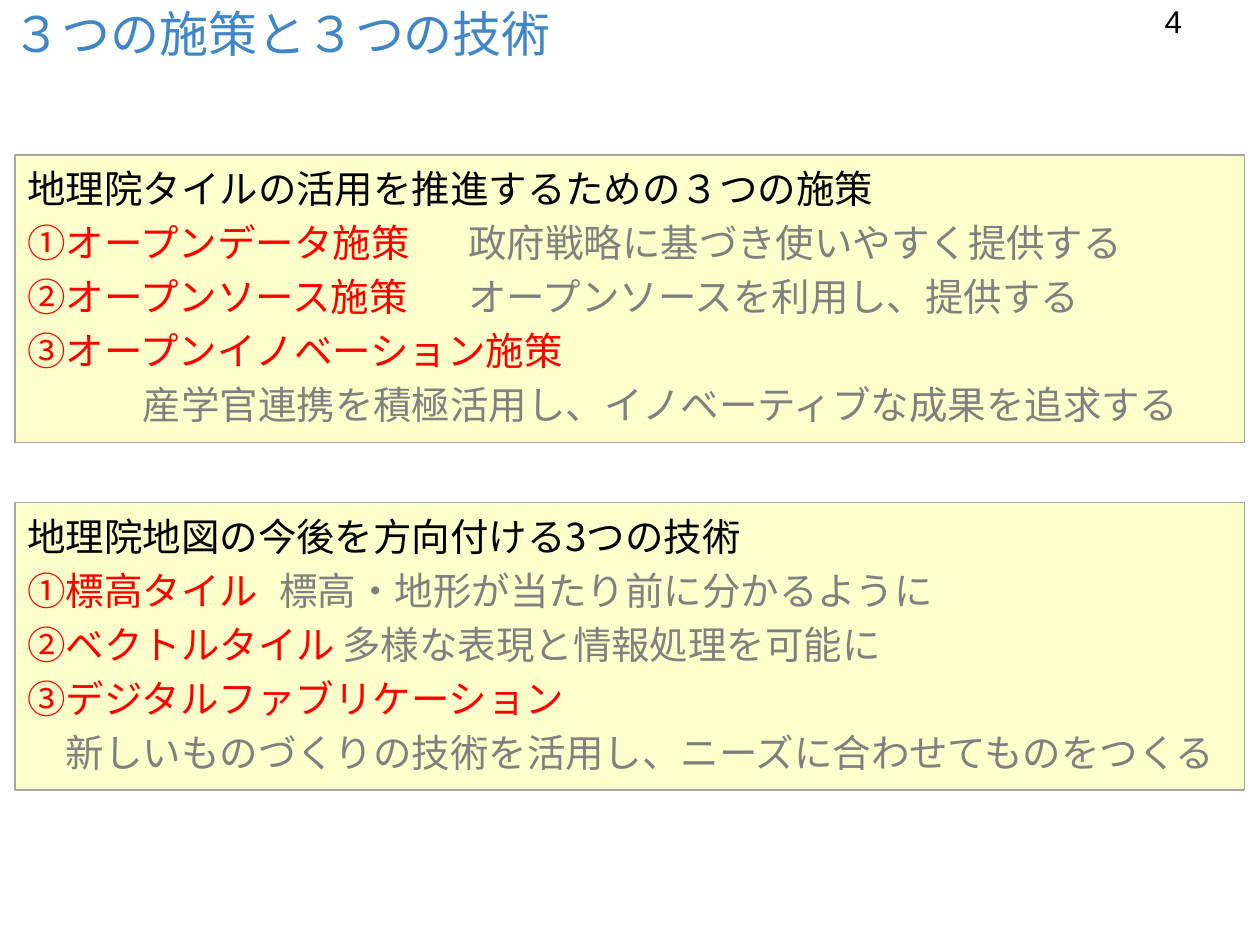
from dataclasses import dataclass

from lxml import etree
from pptx import Presentation
from pptx.dml.color import RGBColor
from pptx.enum.shapes import MSO_SHAPE
from pptx.enum.text import MSO_ANCHOR, MSO_AUTO_SIZE, PP_ALIGN
from pptx.oxml.ns import qn
from pptx.util import Inches, Pt

RECT = MSO_SHAPE.RECTANGLE
TOP, MIDDLE = MSO_ANCHOR.TOP, MSO_ANCHOR.MIDDLE
LEFT, RIGHT = PP_ALIGN.LEFT, PP_ALIGN.RIGHT
NO_FIT = MSO_AUTO_SIZE.NONE

BLUE = RGBColor(0x40, 0x87, 0xC8)
BLACK = RGBColor(0, 0, 0)
RED = RGBColor(0xFF, 0, 0)
GRAY = RGBColor(0x80, 0x80, 0x80)
CREAM = RGBColor(0xFF, 0xFF, 0xCC)
BORDER = RGBColor(0xA6, 0xA6, 0xA6)

LATIN, JAPANESE = "Arial", "Noto Sans CJK JP"
BODY_SIZE, BODY_PITCH = 22, 30.8
NOTE_TAB = Inches(4)

# Panel grid
MARGIN, PANEL_TOP, PANEL_HEIGHT, PANEL_STEP = 0.12, 1.23, 2.28, 2.76


@dataclass
class Line:
    label: str = ""
    note: str = ""
    color: RGBColor = RED
    indent: int = 0  # in characters


PANELS = [
    [
        Line("地理院タイルの活用を推進するための３つの施策", color=BLACK),
        Line("①オープンデータ施策", "政府戦略に基づき使いやすく提供する"),
        Line("②オープンソース施策", "オープンソースを利用し、提供する"),
        Line("③オープンイノベーション施策"),
        Line(note="産学官連携を積極活用し、イノベーティブな成果を追求する", indent=3),
    ],
    [
        Line("地理院地図の今後を方向付ける3つの技術", color=BLACK),
        Line("①標高タイル", "標高・地形が当たり前に分かるように"),
        Line("②ベクトルタイル", "多様な表現と情報処理を可能に"),
        Line("③デジタルファブリケーション"),
        Line(note="新しいものづくりの技術を活用し、ニーズに合わせてものをつくる", indent=1),
    ],
]


def add_text(p, text: str, *, size: float, color: RGBColor, font: str,
             align=LEFT) -> None:
    p.alignment = align
    r = p.add_run()
    r.text = text
    r.font.size, r.font.name = Pt(size), font
    r.font.color.rgb = color
    etree.SubElement(r.font._element, qn("a:ea"), typeface=JAPANESE)


def format_line(p, line: Line) -> None:
    """Set the indent, the tab stop before a note and the line pitch."""
    pPr = p._p.get_or_add_pPr()
    pPr.set("marL", str(Pt(line.indent * BODY_SIZE)))
    pPr.set("indent", "0")
    if line.label and line.note:
        tabs = etree.SubElement(pPr, qn("a:tabLst"))
        etree.SubElement(tabs, qn("a:tab"), pos=str(NOTE_TAB), algn="l")
    p.line_spacing = Pt(BODY_PITCH)


def add_panel(s, row: int, lines: list[Line], width: float) -> None:
    sp = s.shapes.add_shape(
        RECT, Inches(MARGIN), Inches(PANEL_TOP + row * PANEL_STEP),
        Inches(width), Inches(PANEL_HEIGHT))
    sp.shadow.inherit = False
    sp.fill.solid()
    sp.fill.fore_color.rgb = CREAM
    sp.line.color.rgb = BORDER
    sp.line.width = Pt(0.75)
    tf = sp.text_frame
    tf.word_wrap, tf.vertical_anchor = True, TOP
    tf.margin_top = Inches(0.02)
    for i, line in enumerate(lines):
        p = tf.add_paragraph() if i else tf.paragraphs[0]
        format_line(p, line)
        if line.label:
            label = line.label + ("\t" if line.note else "")
            add_text(p, label, size=BODY_SIZE, color=line.color, font=JAPANESE)
        if line.note:
            add_text(p, line.note, size=BODY_SIZE, color=GRAY, font=JAPANESE)


def main() -> None:
    prs = Presentation()
    prs.slide_width, prs.slide_height = Inches(10), Inches(7.5)
    s = prs.slides.add_slide(prs.slide_layouts.get_by_name("Title Only"))

    # Title
    title = s.shapes.title
    title.left, title.top = 0, 0
    title.width, title.height = Inches(7.68), Inches(0.52)
    tf = title.text_frame
    tf.auto_size, tf.vertical_anchor = NO_FIT, MIDDLE
    add_text(tf.paragraphs[0], "３つの施策と３つの技術",
             size=28, color=BLUE, font=LATIN)

    # Page number
    number = s.shapes.add_textbox(
        Inches(7.15), Inches(-0.03), Inches(2.33), Inches(0.52))
    number.text_frame.word_wrap = True
    add_text(number.text_frame.paragraphs[0], "4",
             size=18, color=BLACK, font=LATIN, align=RIGHT)

    # Panels
    for row, lines in enumerate(PANELS):
        add_panel(s, row, lines, prs.slide_width.inches - 2 * MARGIN)

    prs.save("out.pptx")


if __name__ == "__main__":
    main()
